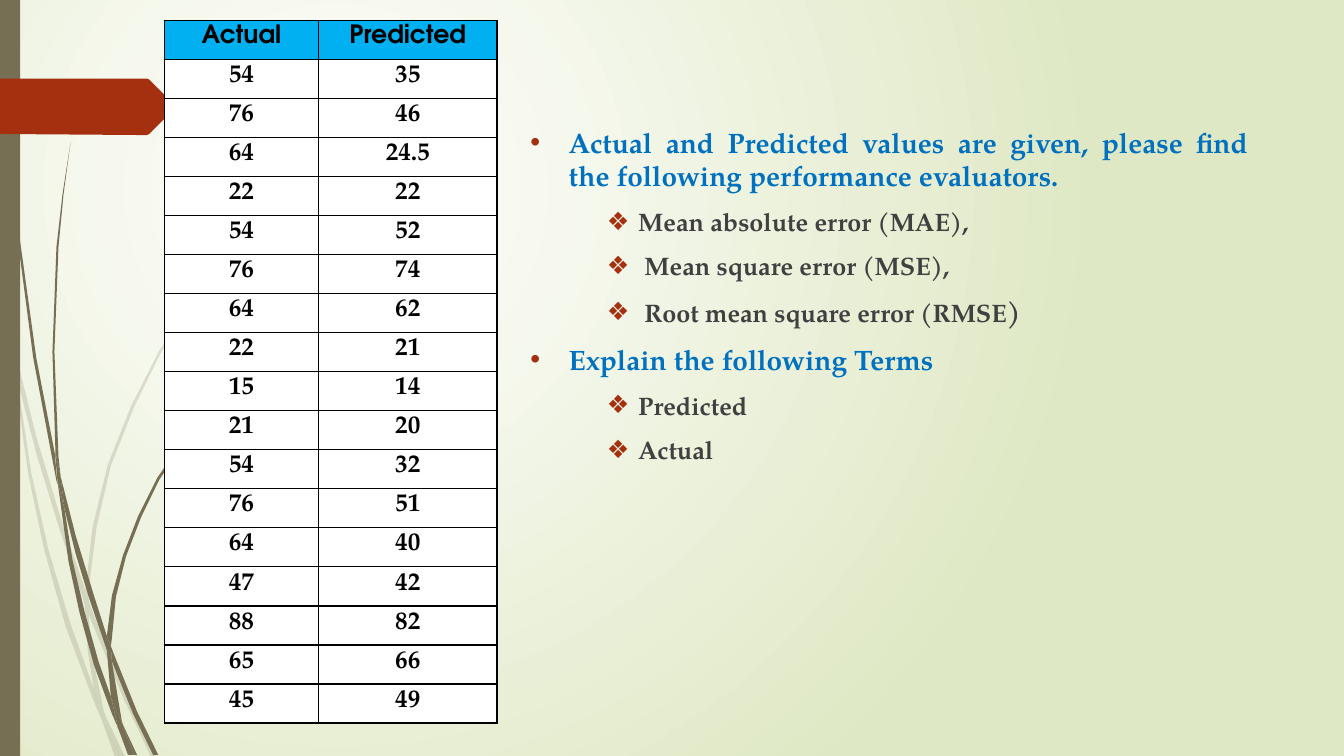
import lxml.etree
import pptx
import pptx.dml.color
import pptx.enum.shapes
import pptx.enum.text
import pptx.oxml.ns
import pptx.util

Inches = pptx.util.Inches
Pt = pptx.util.Pt
RGBColor = pptx.dml.color.RGBColor
qn = pptx.oxml.ns.qn

OLIVE = RGBColor(0x76, 0x6F, 0x54)
RUST = RGBColor(0xA5, 0x30, 0x10)
SKY = RGBColor(0x00, 0xB0, 0xF0)
BLUE = RGBColor(0x00, 0x70, 0xC0)
GRAY = RGBColor(0x40, 0x40, 0x40)
BLACK = RGBColor(0, 0, 0)
WHITE = RGBColor(0xFF, 0xFF, 0xFF)
PALE_GREEN = RGBColor(0xDF, 0xE8, 0xC4)

HEADING_FONT = "TeX Gyre Adventor"
BODY_FONT = "TeX Gyre Pagella"

PALE_BLADES = [
    [(.11, 3.5), (.09, 3.22), (0, 2.82), (0, 2.99), (.1, 3.44)],
    [(.58, 5.22), (.84, 5.99), (.85, 5.86), (.62, 5.2), (.36, 4.33), (.14, 3.45), (.17, 3.76),
     (.36, 4.5)],
    [(.92, 6.07), (.88, 5.96), (.88, 6.1), (1.23, 6.94), (1.5, 7.51), (1.55, 7.51), (1.27, 6.92)],
    [(1.19, 7.51), (1.24, 7.51), (1.05, 7.11)],
    [(.93, 6.83), (.7, 6.19), (.48, 5.45), (.31, 4.69), (.17, 3.76), (.11, 3.5), (.28, 4.7),
     (.44, 5.46), (.65, 6.21), (.92, 6.93), (1.01, 7.14), (.99, 7.07)],
    [(.84, 5.99), (.87, 6.46), (.93, 6.83), (.96, 6.92), (1.05, 7.11), (1.03, 7.06), (.91, 6.46),
     (.88, 6.1), (.88, 6.08)],
    [(.88, 5.84), (.96, 5.22), (1.1, 4.62), (1.33, 4.04), (1.6, 3.49), (2.29, 2.45), (2.68, 1.98),
     (2.9, 1.75), (3.12, 1.54), (3.12, 1.53), (2.89, 1.75), (2.68, 1.97), (2.28, 2.44),
     (1.58, 3.48), (1.3, 4.03), (1.07, 4.61), (.92, 5.22), (.85, 5.84), (.85, 5.86), (.88, 5.96)],
    [(1.01, 7.14), (1.14, 7.51), (1.19, 7.51)],
    [(.88, 6.08), (.88, 6.1), (.88, 5.96), (.85, 5.86), (.84, 5.99)],
    [(.96, 6.92), (.93, 6.83), (.99, 7.07), (1.01, 7.14), (1.19, 7.51), (1.05, 7.11)],
]
DARK_BLADES = [
    [(.07, 1.1), (.17, 2.33), (.33, 3.55), (.56, 4.77), (.57, 4.81), (.55, 4.57), (.55, 4.53),
     (.36, 3.55), (.19, 2.32), (.08, 1.09), (.05, .48), (.04, 0), (.03, 0), (.04, .48)],
    [(.88, 5.92), (1.06, 6.45), (1.06, 6.33), (1.06, 6.31), (.93, 5.9), (.75, 5.31), (.6, 4.72),
     (.64, 5.05), (.75, 5.49)],
    [(1.13, 6.49), (1.1, 6.41), (1.11, 6.56), (1.32, 7.08), (1.52, 7.49), (1.57, 7.49),
     (1.36, 7.06)],
    [(1.1, 6.91), (.98, 6.57), (.84, 6.07), (.72, 5.56), (.64, 5.05), (.57, 4.77), (.68, 5.57),
     (.79, 6.08), (.93, 6.59), (1.11, 7.08), (1.17, 7.22), (1.16, 7.17)],
    [(.6, 4.72), (.58, 4.53), (.54, 3.49), (.58, 2.45), (.63, 1.93), (.7, 1.41), (.62, 1.93),
     (.56, 2.45), (.52, 3.49), (.55, 4.49)],
    [(1.33, 7.49), (1.36, 7.49), (1.22, 7.19)],
    [(.57, 4.77), (.64, 5.05), (.6, 4.72), (.55, 4.49), (.55, 4.53)],
    [(1.11, 6.33), (1.15, 5.92), (1.25, 5.52), (1.4, 5.13), (1.58, 4.76), (2.05, 4.06),
     (2.31, 3.74), (2.45, 3.59), (2.61, 3.44), (2.6, 3.44), (2.45, 3.58), (2.31, 3.73),
     (2.04, 4.05), (1.56, 4.74), (1.37, 5.12), (1.22, 5.51), (1.11, 5.91), (1.06, 6.31),
     (1.1, 6.41)],
    [(1.17, 7.22), (1.27, 7.49), (1.31, 7.49)],
    [(1.06, 6.45), (1.1, 6.91), (1.16, 7.06), (1.22, 7.19), (1.21, 7.16), (1.11, 6.56),
     (1.09, 6.51)],
    [(1.06, 6.45), (1.09, 6.51), (1.11, 6.56), (1.1, 6.41), (1.06, 6.31), (1.06, 6.33)],
    [(1.16, 7.06), (1.1, 6.91), (1.16, 7.17), (1.17, 7.22), (1.3, 7.49), (1.33, 7.49),
     (1.22, 7.19)],
]
FLAG = [(1.73, 1.08), (1.48, 1.33), (1.46, 1.34), (1.36, 1.34), (0, 1.33), (0, .78), (1.36, .78),
        (1.46, .78), (1.48, .79), (1.73, 1.04), (1.74, 1.06)]

ACTUAL = [54, 76, 64, 22, 54, 76, 64, 22, 15, 21, 54, 76, 64, 47, 88, 65, 45]
PREDICTED = [35, 46, 24.5, 22, 52, 74, 62, 21, 14, 20, 32, 51, 40, 42, 82, 66, 49]

TASKS = [
    (0, "Actual and Predicted values are given, please find the following performance evaluators."),
    (1, "Mean absolute error (MAE),"),
    (1, " Mean square error (MSE),"),
    (1, " Root mean square error (RMSE)"),
    (0, "Explain the following Terms"),
    (1, "Predicted"),
    (1, "Actual"),
]


def add_xml(parent, tag, **attributes):
    return lxml.etree.SubElement(parent, qn(tag), attributes)


def paint(shape, color):
    shape.shadow.inherit = False
    shape.fill.solid()
    shape.fill.fore_color.rgb = color
    shape.line.fill.background()


def style_run(run, font, size, color):
    run.font.name = font
    run.font.size = Pt(size)
    run.font.bold = True
    run.font.color.rgb = color


def set_background(slide):
    fill = slide.background.fill
    fill.gradient()
    for stop, color in zip(fill.gradient_stops, (WHITE, PALE_GREEN)):
        stop.color.rgb = color
    gradient = slide.element.find(".//" + qn("a:gradFill"))
    gradient.remove(gradient.find(qn("a:lin")))
    circle = add_xml(gradient, "a:path", path="circle")
    add_xml(circle, "a:fillToRect", l="50000", t="50000", r="100000", b="100000")


def add_outline(slide, corners, color, alpha=None):
    points = [(Inches(x), Inches(y)) for x, y in corners]
    builder = slide.shapes.build_freeform(*points[0])
    builder.add_line_segments(points[1:], close=True)
    outline = builder.convert_to_shape()
    paint(outline, color)
    if alpha:
        tint = outline.element.spPr.find(qn("a:solidFill")).find(qn("a:srgbClr"))
        add_xml(tint, "a:alpha", val=str(alpha * 1000))


def add_side_bar(slide):
    bar = slide.shapes.add_shape(
        pptx.enum.shapes.MSO_SHAPE.RECTANGLE, 0, 0, Inches(0.2), Inches(7.5))
    paint(bar, OLIVE)


def fill_cell(cell, text, font, background):
    cell.text_frame.text = text
    cell.margin_bottom = 0
    paragraph = cell.text_frame.paragraphs[0]
    paragraph.alignment = pptx.enum.text.PP_ALIGN.CENTER
    style_run(paragraph.runs[0], font, 18, BLACK)
    properties = cell._tc.get_or_add_tcPr()
    for side in ("a:lnL", "a:lnR", "a:lnT", "a:lnB"):
        border = add_xml(properties, side, w=str(Pt(1)))
        add_xml(add_xml(border, "a:solidFill"), "a:srgbClr", val=str(BLACK))
    cell.fill.solid()
    cell.fill.fore_color.rgb = background


def add_values_table(slide):
    rows = [("Actual", "Predicted"), *zip(ACTUAL, PREDICTED)]
    table = slide.shapes.add_table(
        len(rows), 2, Inches(1.63), Inches(0.2), Inches(3.3), Inches(6.98)).table
    table.first_row = table.horz_banding = False
    for column, width in zip(table.columns, (1.53, 1.77)):
        column.width = Inches(width)
    for r, values in enumerate(rows):
        font, background = (BODY_FONT, WHITE) if r else (HEADING_FONT, SKY)
        for c, value in enumerate(values):
            fill_cell(table.cell(r, c), str(value), font, background)


def format_task(paragraph, level):
    indent, hanging, bullet, size, color = (
        (1.07, 0.31, "❖", 18, GRAY) if level else (0.38, 0.38, "•", 20, BLUE))
    paragraph.level = level
    paragraph.space_before = Pt(10)
    paragraph.alignment = (
        pptx.enum.text.PP_ALIGN.LEFT if level else pptx.enum.text.PP_ALIGN.JUSTIFY)
    properties = paragraph._p.get_or_add_pPr()
    properties.set("marL", str(Inches(indent)))
    properties.set("indent", str(-Inches(hanging)))
    add_xml(add_xml(properties, "a:buClr"), "a:srgbClr", val=str(RUST))
    add_xml(properties, "a:buChar", char=bullet)
    style_run(paragraph.runs[0], BODY_FONT, size, color)


def fill_tasks(body):
    body.left, body.top = Inches(5.16), Inches(1.19)
    body.width, body.height = Inches(7.32), Inches(4.13)
    frame = body.text_frame
    frame.word_wrap = True
    frame.auto_size = pptx.enum.text.MSO_AUTO_SIZE.NONE
    frame.vertical_anchor = pptx.enum.text.MSO_ANCHOR.TOP
    frame.text = "\n".join(text for _, text in TASKS)
    for paragraph, (level, _) in zip(frame.paragraphs, TASKS):
        format_task(paragraph, level)
    closing = frame.paragraphs[3]
    closing.runs[0].text = closing.runs[0].text[:-1]
    bracket = closing.add_run()
    bracket.text = ")"
    style_run(bracket, BODY_FONT, 20, GRAY)


def main():
    deck = pptx.Presentation()
    deck.slide_width, deck.slide_height = Inches(13.33), Inches(7.5)
    slide = deck.slides.add_slide(deck.slide_layouts[1])
    title = slide.shapes.title.element
    title.getparent().remove(title)
    set_background(slide)
    for blade in PALE_BLADES:
        add_outline(slide, blade, OLIVE, alpha=20)
    for blade in DARK_BLADES:
        add_outline(slide, blade, OLIVE)
    add_side_bar(slide)
    add_outline(slide, FLAG, RUST)
    add_values_table(slide)
    fill_tasks(slide.placeholders[1])
    deck.save("out.pptx")


main()
